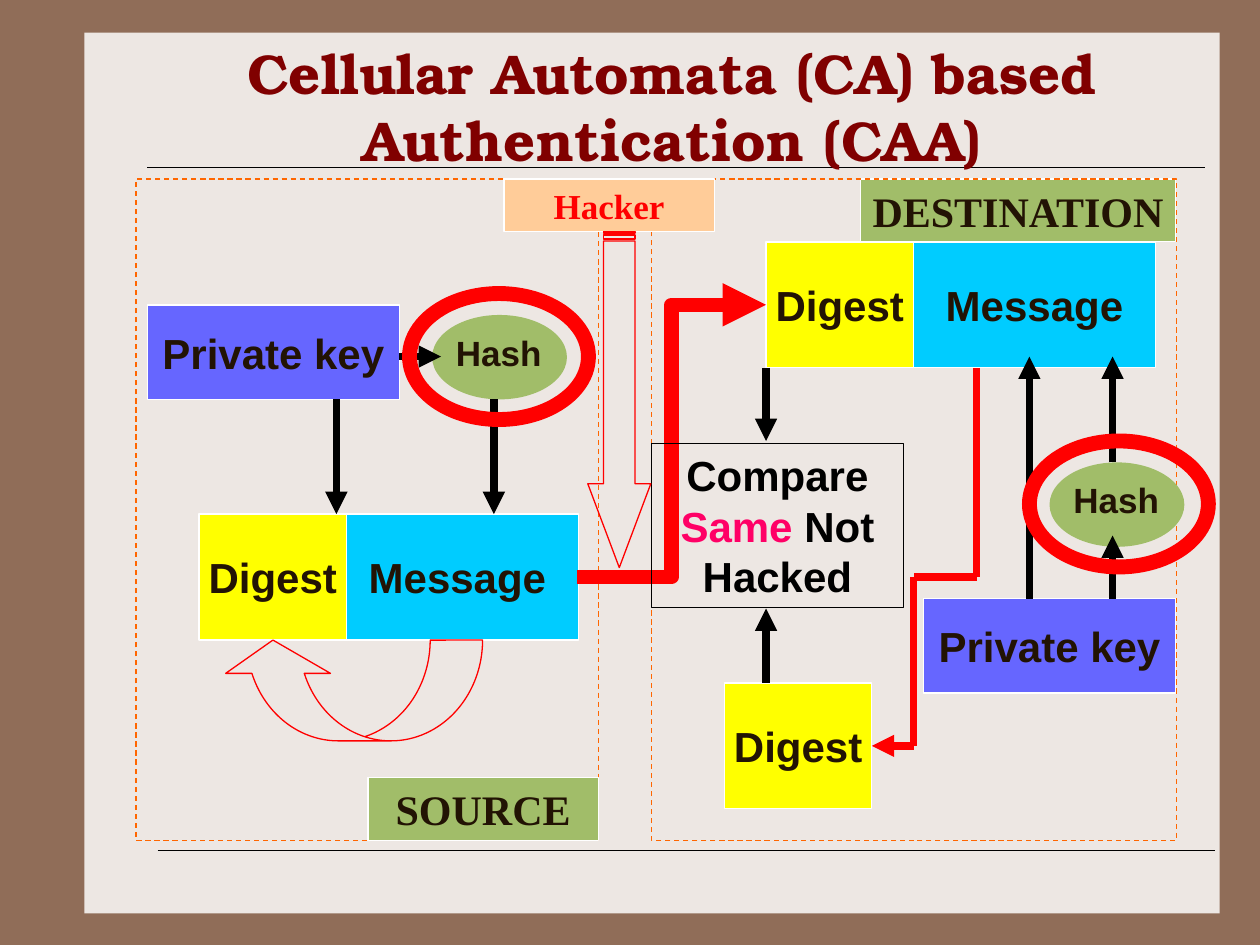
import pptx
import pptx.util
import pptx.dml.color
import pptx.enum.dml
import pptx.enum.shapes
import pptx.enum.text
from lxml import etree

Inches, Pt = pptx.util.Inches, pptx.util.Pt
RGB = pptx.dml.color.RGBColor
Shape = pptx.enum.shapes.MSO_SHAPE
Link = pptx.enum.shapes.MSO_CONNECTOR
Anchor = pptx.enum.text.MSO_ANCHOR
Align = pptx.enum.text.PP_ALIGN

BROWN = RGB(0x90, 0x6D, 0x58)
CREAM = RGB(0xED, 0xE7, 0xE3)
BLACK = RGB(0, 0, 0)
WHITE = RGB(255, 255, 255)
INK = RGB(0x22, 0x13, 0x04)
MAROON = RGB(0x80, 0, 0)
RED = RGB(255, 0, 0)
PINK = RGB(255, 0, 0x66)
ORANGE = RGB(255, 0x66, 0)
PEACH = RGB(255, 0xCC, 0x99)
GREEN = RGB(0xA1, 0xBD, 0x69)
BLUE = RGB(0, 0xCC, 255)
VIOLET = RGB(0x66, 0x66, 255)
YELLOW = RGB(255, 255, 0)
SANS, SERIF, HEAD = "Arial", "Times New Roman", "TeX Gyre Bonum"


class Board:
    """Holds the slide and its drawing style."""

    def __init__(self, slide):
        self.slide = slide
        self.shapes = slide.shapes

    def font(self, para, size, color, name=SANS):
        para.font.size, para.font.name, para.font.bold = Pt(size), name, True
        para.font.color.rgb = color

    def title(self, text, x, y, w, h):
        box = self.shapes.title
        box.element.getparent().append(box.element)  # above the panel
        box.left, box.top, box.width, box.height = map(Inches, (x, y, w, h))
        frame = box.text_frame
        frame.text, frame.word_wrap = text, True
        frame.auto_size = pptx.enum.text.MSO_AUTO_SIZE.NONE
        frame.vertical_anchor = Anchor.MIDDLE
        frame.paragraphs[0].alignment = Align.CENTER
        self.font(frame.paragraphs[0], 32, MAROON, HEAD)

    def form(self, kind, x, y, w, h, fill=None, line=None, width=0.75):
        item = self.shapes.add_shape(kind, *map(Inches, (x, y, w, h)))
        item.shadow.inherit = False
        if fill is None:
            item.fill.background()
        else:
            item.fill.solid()
            item.fill.fore_color.rgb = fill
        if line is None:
            item.line.fill.background()
        else:
            item.line.color.rgb = line
            item.line.width = Pt(width)
        return item

    def label(self, text, x, y, w, h, fill, size=24, color=INK, name=SANS):
        item = self.form(Shape.RECTANGLE, x, y, w, h, fill, WHITE)
        frame = item.text_frame
        frame.text, frame.word_wrap = text, False
        frame.vertical_anchor = Anchor.MIDDLE
        frame.paragraphs[0].alignment = Align.CENTER
        self.font(frame.paragraphs[0], size, color, name)

    def zone(self, x, y, w, h):
        item = self.form(Shape.RECTANGLE, x, y, w, h, line=ORANGE)
        item.line.dash_style = pptx.enum.dml.MSO_LINE.DASH

    def digest(self, x, y):
        self.label("Digest", x, y, 1.17, 1, YELLOW)

    def message(self, x, y):
        self.label("Message", x, y, 1.92, 1, BLUE)

    def key(self, x, y):
        self.label("Private key", x, y, 2, 0.75, VIOLET)

    def hash(self, x, y):
        self.form(Shape.OVAL, x, y, 1.07, 0.67, GREEN)
        box = self.shapes.add_textbox(
            *map(Inches, (x + 0.09, y + 0.08, 0.88, 0.44)))
        box.text_frame.text, box.text_frame.word_wrap = "Hash", False
        self.font(box.text_frame.paragraphs[0], 20, INK)

    def ring(self, x, y):
        self.form(Shape.OVAL, x, y, 1.42, 1, line=RED, width=8.5)

    def link(self, start, end, color=BLACK, width=4.25, head=True,
             kind=Link.STRAIGHT):
        item = self.shapes.add_connector(kind, *map(Inches, start + end))
        item.line.color.rgb = color
        item.line.width = Pt(width)
        space = "{http://schemas.openxmlformats.org/drawingml/2006/main}"
        if head:
            etree.SubElement(item.line._get_or_add_ln(), space + "tailEnd",
                             type="triangle")
        etree.SubElement(item.element.spPr, space + "effectLst")

    def arrow(self, kind, x, y, w, h, turn, adjust):
        item = self.form(kind, x, y, w, h, line=RED)
        item.rotation = turn
        for i, value in enumerate(adjust):
            item.adjustments[i] = value

    def verdict(self, parts, x, y, w, h):
        item = self.form(Shape.RECTANGLE, x, y, w, h, line=BLACK)
        frame = item.text_frame
        frame.word_wrap, frame.vertical_anchor = True, Anchor.TOP
        para = frame.paragraphs[0]
        para.alignment = Align.CENTER
        self.font(para, 24, BLACK)
        for text, color in parts:
            run = para.add_run()
            run.text = text
            run.font.color.rgb = color


def main():
    deck = pptx.Presentation()
    deck.slide_width, deck.slide_height = Inches(10), Inches(7.5)
    slide = deck.slides.add_slide(deck.slide_layouts[5])
    slide.background.fill.solid()
    slide.background.fill.fore_color.rgb = BROWN
    board = Board(slide)

    # Panel, rules and title
    board.form(Shape.RECTANGLE, 0.67, 0.26, 9.01, 6.99, CREAM)
    for x, y in ((1.17, 1.33), (1.25, 6.75)):
        board.link((x, y), (x + 8.39, y), width=0.75, head=False)
    board.title("Cellular Automata (CA) based Authentication (CAA)",
                1.17, 0.42, 8.33, 0.83)

    # Source zone and its packet
    board.zone(1.08, 1.42, 3.67, 5.25)
    board.label("SOURCE", 2.92, 6.17, 1.83, 0.5, GREEN, name=SERIF)
    board.message(2.67, 4.08)
    board.digest(1.58, 4.08)
    board.arrow(Shape.CURVED_DOWN_ARROW, 1.75, 5.08, 2.08, 0.8, 180,
                (0.52, 1.04, 0.33))

    # Destination zone and the received packet
    board.message(7.25, 1.92)
    board.digest(6.08, 1.92)
    board.link((4.58, 4.58), (6.08, 2.42), RED, 8.25, kind=Link.ELBOW)
    board.label("DESTINATION", 6.83, 1.42, 2.5, 0.5, GREEN, name=SERIF)
    board.zone(5.17, 1.42, 4.17, 5.25)
    board.digest(5.75, 5.42)

    # Hashing at the source
    board.hash(3.43, 2.5)
    board.key(1.17, 2.42)
    for x in (2.67, 3.92):
        board.link((x, 3.17), (x, 4.08))
    board.link((3.17, 2.83), (3.5, 2.83))

    # Hashing at the destination
    board.hash(8.33, 3.67)
    board.key(7.33, 4.75)
    for x, low, high in ((8.17, 4.75, 2.83), (8.83, 3.67, 2.83),
                         (8.83, 4.75, 4.25)):
        board.link((x, low), (x, high))

    # Route from the message to the new digest
    route = [(7.75, 2.92), (7.75, 4.58), (7.25, 4.58), (7.25, 5.92),
             (6.92, 5.92)]
    for start, end in zip(route, route[1:]):
        board.link(start, end, RED, head=end == route[-1])

    # Comparison
    board.link((6.08, 2.92), (6.08, 3.5))
    board.link((6.08, 5.42), (6.08, 4.83))
    board.verdict((("Compare ", BLACK), ("Same ", PINK),
                   ("Not Hacked", BLACK)), 5.17, 3.52, 2, 1.3)

    # Hacker
    board.label("Hacker", 4, 1.42, 1.67, 0.42, PEACH, 20, RED, SERIF)
    board.arrow(Shape.STRIPED_RIGHT_ARROW, 3.58, 2.92, 2.67, 0.5, 90,
                (0.5, 1.33))

    # Rings around both hashes
    board.ring(3.25, 2.33)
    board.ring(8.17, 3.5)

    deck.save("out.pptx")


if __name__ == "__main__":
    main()
